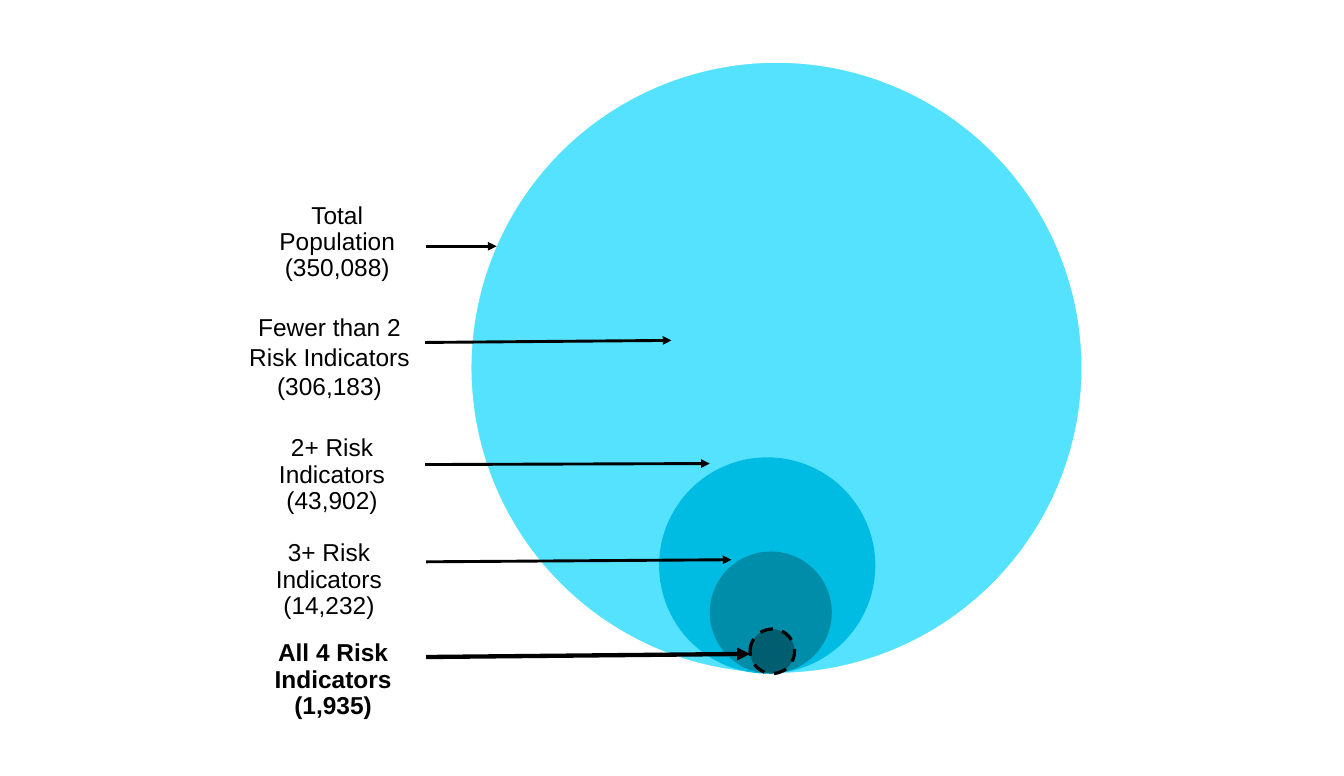
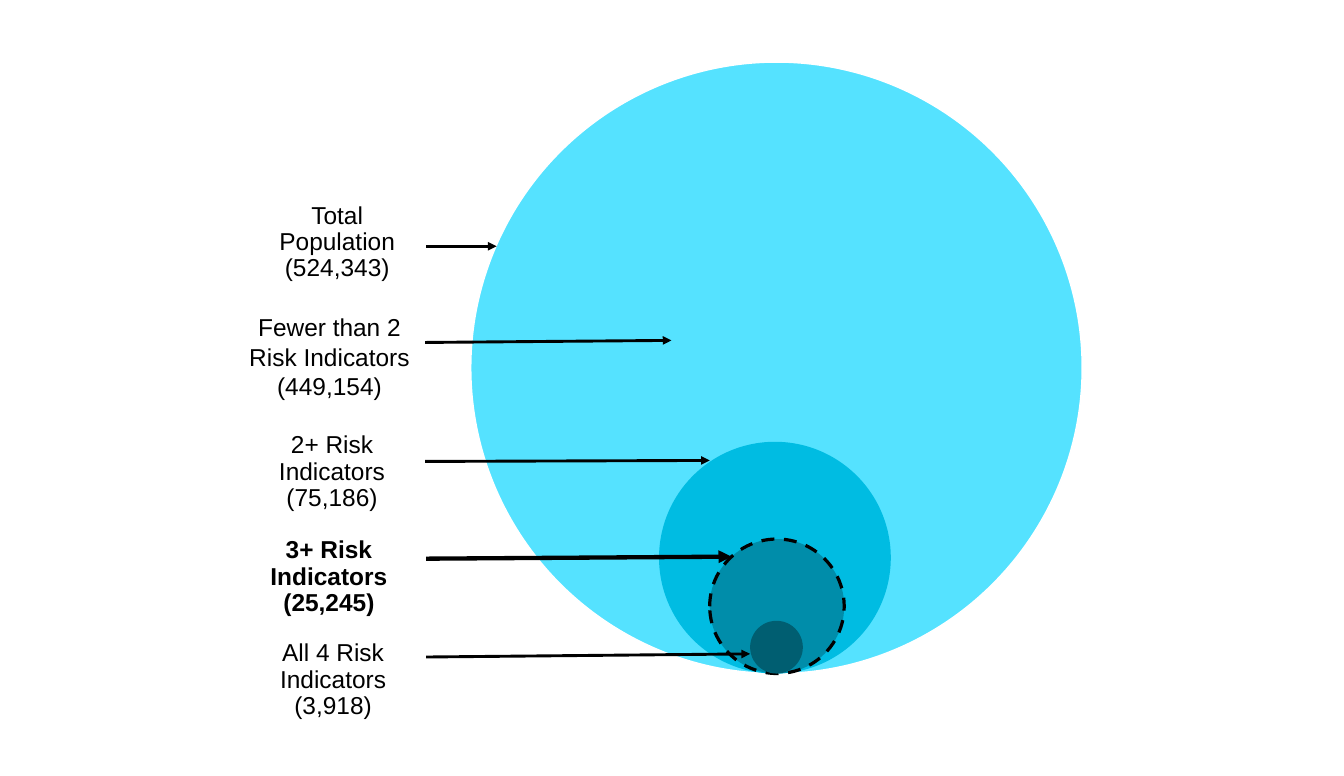
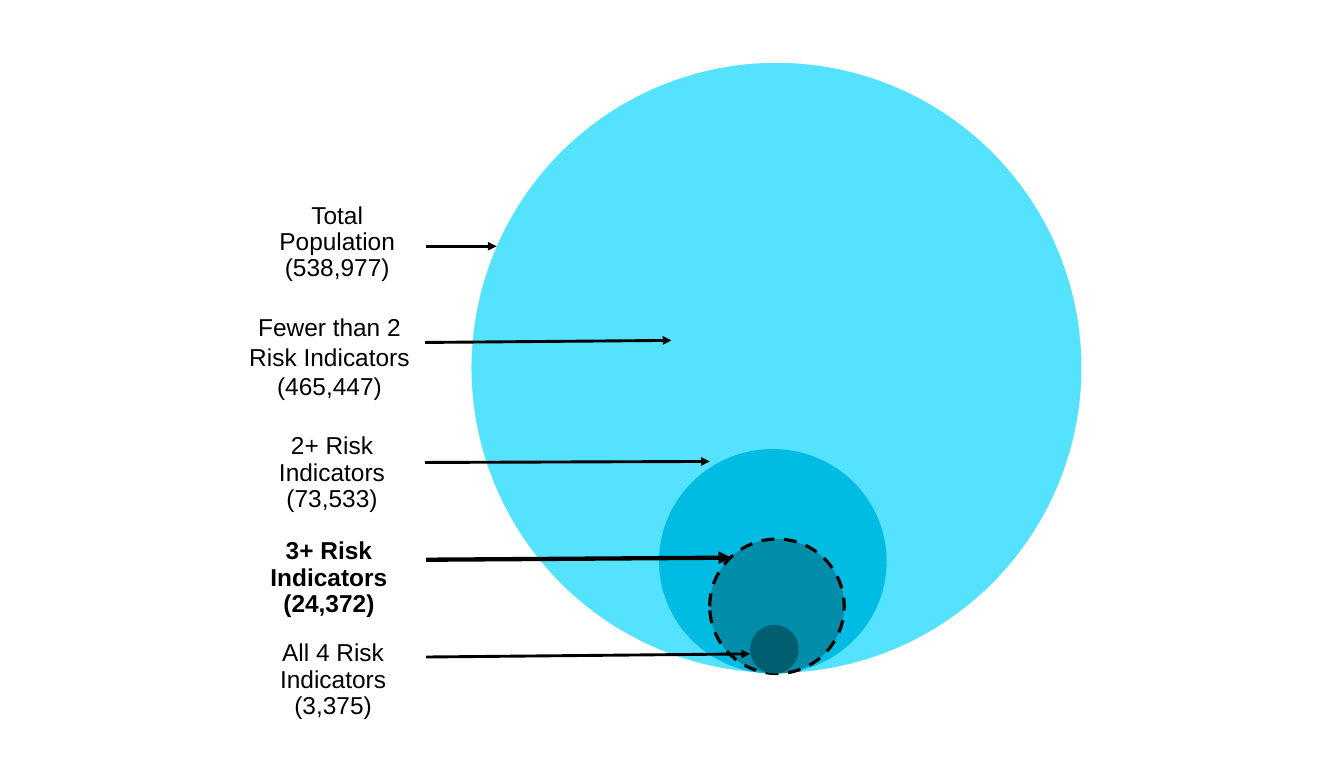
from dataclasses import dataclass

from lxml import etree
from pptx import Presentation, util as u
from pptx.dml.color import RGBColor
from pptx.enum import dml, shapes, text
from pptx.oxml import ns


# Shared style
@dataclass(frozen=True)
class Theme:
    font: str = "Arial"
    size: float = 17
    ink: str = "000000"
    paper: str = "FFFFFF"
    rings: tuple = ("55E2FF", "00BCE2", "008DAA", "005E71")
    arrow: float = 2
    strong_arrow: float = 3
    rim: float = 1
    dashed_rim: float = 2.25


@dataclass(frozen=True)
class Level:
    name: str
    box: tuple        # left, top, width, height of the label
    start: tuple      # arrow tail
    tip: tuple        # arrow head
    inset: tuple = (0.13, 0.13)
    spacing: float = 0.9
    anchor: text.MSO_ANCHOR = text.MSO_ANCHOR.MIDDLE
    moves: bool = False


LEVELS = (
    Level("Total Population", (2.43, 1.9, 1.66, 0.89), (4.12, 2.38), (4.8, 2.38),
          inset=(0.15, 0.15)),
    Level("Fewer than 2 Risk Indicators", (2.16, 2.97, 2.05, 0.77), (4.11, 3.31),
          (6.49, 3.29), inset=(0.1, 0.05), spacing=1.0, anchor=text.MSO_ANCHOR.TOP),
    Level("2+ Risk Indicators", (2.38, 4.17, 1.66, 0.85), (4.11, 4.49), (6.86, 4.48),
          moves=True),
    Level("3+ Risk Indicators", (2.35, 5.21, 1.66, 0.8), (4.12, 5.43), (7.07, 5.41),
          moves=True),
    Level("All 4 Risk Indicators", (2.38, 5.98, 1.68, 1.19), (4.12, 6.35), (7.25, 6.32)),
)

# All circles rest on one base line
BASE = 6.51
RING_LEFTS = (4.55, 6.37, 6.86, 7.25)

# Per slide: counts by level, (width, height) by circle, highlighted level and circle, row shift
POPULATIONS = (
    dict(counts=("350,088", "306,183", "43,902", "14,232", "1,935"),
         rings=((5.91, 5.91), (2.09, 2.09), (1.18, 1.18), (0.43, 0.43)),
         strong_level=4, strong_ring=3, shift=0),
    dict(counts=("524,343", "449,154", "75,186", "25,245", "3,918"),
         rings=((5.91, 5.91), (2.24, 2.24), (1.3, 1.3), (0.51, 0.51)),
         strong_level=3, strong_ring=2, shift=-0.03),
    dict(counts=("538,977", "465,447", "73,533", "24,372", "3,375"),
         rings=((5.91, 5.91), (2.2, 2.17), (1.3, 1.3), (0.47, 0.47)),
         strong_level=3, strong_ring=2, shift=-0.02),
)


def write(frame, lines, *, font, size, color, bold=False, spacing=1.0):
    """Write one centred paragraph per line."""
    for index, line in enumerate(lines):
        paragraph = frame.paragraphs[0] if index == 0 else frame.add_paragraph()
        paragraph.alignment = text.PP_ALIGN.CENTER
        paragraph.line_spacing = spacing
        run = paragraph.add_run()
        run.text = line
        run.font.name, run.font.size, run.font.bold = font, u.Pt(size), bold
        run.font.color.rgb = RGBColor.from_string(color)


class Deck:
    def __init__(self, theme):
        self.theme = theme
        self.deck = Presentation()
        self.deck.slide_width, self.deck.slide_height = u.Inches(12.99), u.Inches(7.5)
        self.slide = None

    def new_slide(self):
        self.slide = self.deck.slides.add_slide(self.deck.slide_layouts[6])
        self.slide.background.fill.solid()
        self.slide.background.fill.fore_color.rgb = RGBColor.from_string(self.theme.paper)

    def stroke(self, line, color, width):
        line.color.rgb = RGBColor.from_string(color)
        line.width = u.Pt(width)

    def ring(self, left, width, height, color, rim=None, dashed=False):
        ring = self.slide.shapes.add_shape(
            shapes.MSO_SHAPE.OVAL,
            *map(u.Inches, (left, BASE - height, width, height)))
        ring.shadow.inherit = False
        ring.fill.solid()
        ring.fill.fore_color.rgb = RGBColor.from_string(color)
        if dashed:
            self.stroke(ring.line, self.theme.ink, self.theme.dashed_rim)
            ring.line.dash_style = dml.MSO_LINE.DASH
        elif rim:
            self.stroke(ring.line, rim, self.theme.rim)
        else:
            ring.line.fill.background()

    def arrow(self, start, tip, shift, strong):
        (x1, y1), (x2, y2) = start, tip
        arrow = self.slide.shapes.add_connector(
            shapes.MSO_CONNECTOR.STRAIGHT,
            *map(u.Inches, (x1, y1 + shift, x2, y2 + shift)))
        self.stroke(arrow.line, self.theme.ink,
                    self.theme.strong_arrow if strong else self.theme.arrow)
        etree.SubElement(arrow.line._get_or_add_ln(), ns.qn("a:tailEnd"), type="triangle")
        etree.SubElement(arrow._element.spPr, ns.qn("a:effectLst"))

    def label(self, level, count, shift, strong):
        left, top, width, height = level.box
        label = self.slide.shapes.add_textbox(
            *map(u.Inches, (left, top + shift, width, height)))
        frame = label.text_frame
        frame.word_wrap = True
        frame.vertical_anchor = level.anchor
        side, edge = map(u.Inches, level.inset)
        frame.margin_left = frame.margin_right = side
        frame.margin_top = frame.margin_bottom = edge
        write(frame, (level.name, f"({count})"), font=self.theme.font,
              size=self.theme.size, color=self.theme.ink, bold=strong,
              spacing=level.spacing)

    def population(self, counts, rings, strong_level, strong_ring, shift):
        self.new_slide()
        # Nested circles, largest first
        for index, (left, ring, color) in enumerate(
                zip(RING_LEFTS, rings, self.theme.rings)):
            self.ring(left, *ring, color, rim=self.theme.paper if index == 0 else None,
                      dashed=index == strong_ring)
        # Arrows and labels
        for index, (level, count) in enumerate(zip(LEVELS, counts)):
            offset = shift if level.moves else 0
            strong = index == strong_level
            self.arrow(level.start, level.tip, offset, strong)
            self.label(level, count, offset, strong)


risk_deck = Deck(Theme())
for population in POPULATIONS:
    risk_deck.population(**population)
risk_deck.deck.save("out.pptx")
